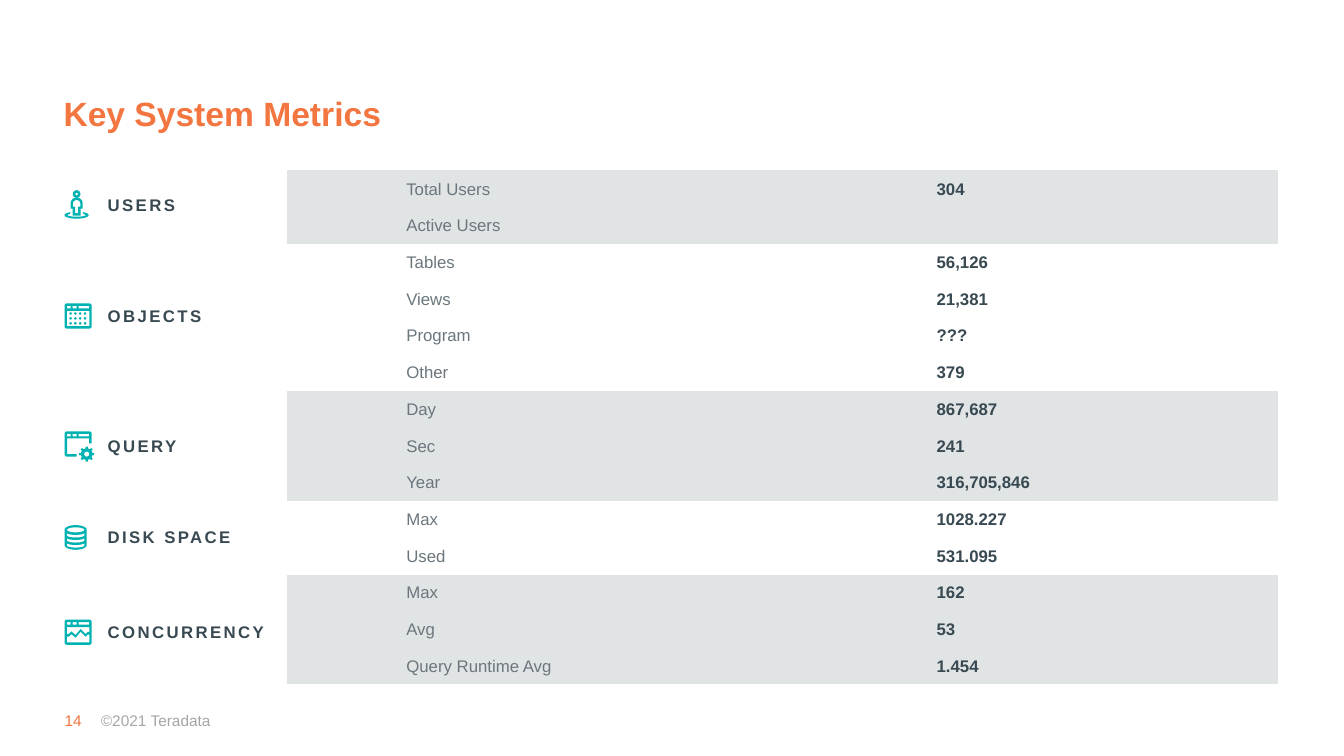
from math import cos, radians, sin

from lxml import etree
from pptx import Presentation, util as u
from pptx.dml.color import RGBColor
from pptx.enum import text
from pptx.oxml.ns import qn

WIDTH, HEIGHT = 13.33, 7.5
LEFT, TABLE_TOP, ROW = 0.64, 1.69, 5.1 / 14
ORANGE, TEAL, DARK, GREY, PALE, BAND, WHITE = (
    "F3753F", "00B2B1", "384951", "6B767D", "A6A6A6", "E1E4E5", "FFFFFF")
NO_STYLE = "{2D5ABB26-0587-4C30-8999-92F81FD0307C}"


def paint(target, color):
    """Give a fill one solid colour."""
    target.solid()
    target.fore_color.rgb = RGBColor.from_string(color)


def write(tf, words, size=12, color=GREY, bold=False, spacing=None,
          anchor=text.MSO_ANCHOR.TOP, line=None, inset=None, wrap=True):
    """Put formatted text into a text frame."""
    tf.word_wrap, tf.vertical_anchor = wrap, anchor
    if inset is not None:
        tf.margin_left = tf.margin_top = tf.margin_right = tf.margin_bottom = u.Inches(inset)
    p = tf.paragraphs[0]
    if line:
        p.line_spacing = line
    p.alignment = text.PP_ALIGN.LEFT
    format_run(p.add_run(), words, size, color, bold, spacing)


def format_run(r, words, size, color, bold, spacing=None):
    """Set the words and font of one run."""
    r.text = words
    r.font.name, r.font.size, r.font.bold = "Arial", u.Pt(size), bold
    paint(r.font.fill, color)
    if spacing:
        r.font._element.set("spc", str(round(spacing * 100)))


def add_text(container, x, y, w, h, words, **fmt):
    """Add a text box placed in inches."""
    sp = container.shapes.add_textbox(*map(u.Inches, (x, y, w, h)))
    write(sp.text_frame, words, **fmt)


def box(l, t, r, b):
    """Return the corners of a rectangle."""
    return [(l, t), (r, t), (r, b), (l, b)]


def arc(cx, cy, rx, ry, start=0, end=360, steps=24):
    """Return points along an elliptical arc."""
    angles = [radians(start + (end - start) * i / steps) for i in range(steps + 1)]
    return [(cx + rx * cos(a), cy + ry * sin(a)) for a in angles]


def corner(cx, cy, start):
    """Return a rounded corner of a window frame."""
    return arc(cx, cy, 2.4, 2.4, start, start + 90, 6)


def tabs(top):
    """Return the three openings of a window's title bar."""
    return [box(l, top + 2.5, r, top + 5) for l, r in ((2.4, 6), (8, 12), (14, 24.5))]


def window(top):
    """Return a rounded window frame with its openings."""
    low, high = top + 22.6, top + 2.4
    frame = (corner(2.4, high, 180) + corner(24.6, high, 270)
             + corner(24.6, low, 0) + corner(2.4, low, 90))
    return [frame, *tabs(top), box(2.4, top + 7.5, 24.6, top + 22.5)]


def user_icon():
    """Return a standing figure on a ring."""
    ring = arc(12, 10.5, 12, 3.5, -60, 240) + arc(12, 10.5, 9, 1.5, 220, -40)
    body = arc(12, -1, 6, 6, 180, 360) + [(18, 4), (16, 4), (16, 11), (8, 11), (8, 4), (6, 4)]
    gap = arc(12, -1, 3.7, 3.5, 180, 360) + [
        (15.7, 2), (13.5, 2), (13.5, 8.5), (10.5, 8.5), (10.5, 2), (8.3, 2)]
    return [[ring], [arc(12, -10.5, 3.8, 3.8), arc(12, -10.5, 1.3, 1.3)], [body, gap]]


def object_icon():
    """Return a window holding a grid of dots."""
    dots = [[arc(6 + 4.8 * col, -2 + 4.9 * row, 1.2, 1.2)]
            for row in range(3) for col in range(4)]
    return [window(-12), *dots]


def query_icon():
    """Return an open window with a gear."""
    frame = (corner(2.4, -11.6, 180) + corner(24.6, -11.6, 270)
             + [(27, -2), (24.5, -2), (24.5, -7), (2.5, -7), (2.5, 8.5), (12, 8.5), (12, 11)]
             + corner(2.4, 8.6, 90))
    gear = []
    for tooth in range(0, 360, 45):
        gear += arc(22, 8.5, 7.5, 7.5, tooth - 8, tooth + 8, 1)
        gear += arc(22, 8.5, 5.7, 5.7, tooth + 12, tooth + 33, 2)
    return [[frame, *tabs(-14)], [gear, arc(22, 8.5, 2.5, 2.5)]]


def disk_icon():
    """Return a stack of disks."""
    body = arc(11, -7.3, 11, 4.7, 180, 360) + arc(11, 7.8, 11, 4.7, 0, 180)
    slots = [arc(11, y, 8.7, 2, 180, 0) + arc(11, y + 2.6, 8.7, 2, 0, 180)
             for y in (-4.3, 0.7, 5.7)]
    return [[body, arc(11, -7.3, 8.7, 2.5), *slots]]


def chart_icon():
    """Return a window crossed by a line chart."""
    upper = [(2.4, 2), (4, 2), (7, -0.5), (11, 3), (16, -3), (21, 2), (23, 0), (24.6, 0)]
    lower = [(x, y + 2.7) for x, y in reversed(upper)]
    return [window(-12.3) + [upper + lower]]


def draw_part(group, contours, cy):
    """Draw one part of an icon from contours in hundredths of an inch."""
    paths = [[((LEFT * 100 + x) * 100, (cy * 100 + y) * 100) for x, y in c] for c in contours]
    builder = group.shapes.build_freeform(*paths[0][0], scale=u.Inches(1) / 10000)
    for i, path in enumerate(paths):
        if i:
            builder.move_to(*path[0])
        builder.add_line_segments(path[1:], close=True)
    sp = builder.convert_to_shape()
    sp.shadow.inherit = False
    paint(sp.fill, TEAL)
    sp.line.fill.background()


def add_border(cell, side):
    """Give a cell one white border."""
    ln = etree.SubElement(cell._tc.get_or_add_tcPr(), qn("a:" + side), w="12700")
    fill = etree.SubElement(ln, qn("a:solidFill"))
    etree.SubElement(fill, qn("a:srgbClr"), val=WHITE)


def fill_cell(cell, words, inset, banded, first, **fmt):
    """Fill and format one metric cell."""
    cell.margin_left, cell.margin_top = u.Inches(inset), u.Inches(0.01)
    cell.margin_right, cell.margin_bottom = u.Inches(0.01), 0
    cell.vertical_anchor = text.MSO_ANCHOR.MIDDLE
    if not banded:
        for side in ("lnB",) if first else ("lnT", "lnB"):
            add_border(cell, side)
    paint(cell.fill, BAND if banded else WHITE)
    if words:
        format_run(cell.text_frame.paragraphs[0].add_run(), words, 12, **fmt)


def add_metrics(s, sections):
    """Add the metrics table, shading every other section."""
    count = sum(len(metrics) for *_, metrics in sections)
    frame = s.shapes.add_table(count, 2, *map(u.Inches, (2.85, TABLE_TOP, 9.83, ROW * count)))
    table = frame.table
    table.first_row = table.horz_banding = False
    table._tbl.tblPr.find(qn("a:tableStyleId")).text = NO_STYLE
    for column, width in zip(table.columns, (4.08, 5.75)):
        column.width = u.Inches(width)
    rows = iter(table.rows)
    for n, (*_, metrics) in enumerate(sections):
        for i, (name, value) in enumerate(metrics):
            row = next(rows)
            row.height = u.Inches(ROW)
            fill_cell(row.cells[0], name, 1.18, n % 2 == 0, i == 0, color=GREY, bold=False)
            fill_cell(row.cells[1], value, 2.36, n % 2 == 0, i == 0, color=DARK, bold=True)


def main():
    """Build the key system metrics slide."""
    sections = [
        ("USERS", 0.9, 2.03, user_icon, [("Total Users", "304"), ("Active Users", "")]),
        ("OBJECTS", 1.16, 3.13, object_icon, [
            ("Tables", "56,126"), ("Views", "21,381"), ("Program", "???"), ("Other", "379")]),
        ("QUERY", 0.91, 4.42, query_icon, [
            ("Day", "867,687"), ("Sec", "241"), ("Year", "316,705,846")]),
        ("DISK SPACE", 1.46, 5.33, disk_icon, [("Max", "1028.227"), ("Used", "531.095")]),
        ("CONCURRENCY", 1.79, 6.27, chart_icon, [
            ("Max", "162"), ("Avg", "53"), ("Query Runtime Avg", "1.454")]),
    ]
    prs = Presentation()
    prs.slide_width, prs.slide_height = u.Inches(WIDTH), u.Inches(HEIGHT)
    s = prs.slides.add_slide(prs.slide_layouts[5])
    title = s.shapes.title
    title.left, title.top, title.width, title.height = map(u.Inches, (0.63, 0.44, 12.07, 0.89))
    write(title.text_frame, "Key System Metrics", size=24, color=ORANGE, bold=True,
          anchor=text.MSO_ANCHOR.BOTTOM, line=0.9, inset=0)
    add_text(s, LEFT, 7.05, 0.19, 0.19, "14", size=11, color=ORANGE, inset=0, wrap=False)
    add_text(s, 1, 7, 1.91, 0.29, "©2021 Teradata", size=11, color=PALE, inset=0,
             anchor=text.MSO_ANCHOR.MIDDLE)
    for label, width, cy, icon, _ in sections:
        group = s.shapes.add_group_shape()
        add_text(group, 0.97, cy - 0.15, width, 0.3, label, color=DARK, bold=True,
                 spacing=1.7, wrap=False)
        for part in icon():
            draw_part(group, part, cy)
    add_metrics(s, sections)
    prs.save("out.pptx")


if __name__ == "__main__":
    main()
